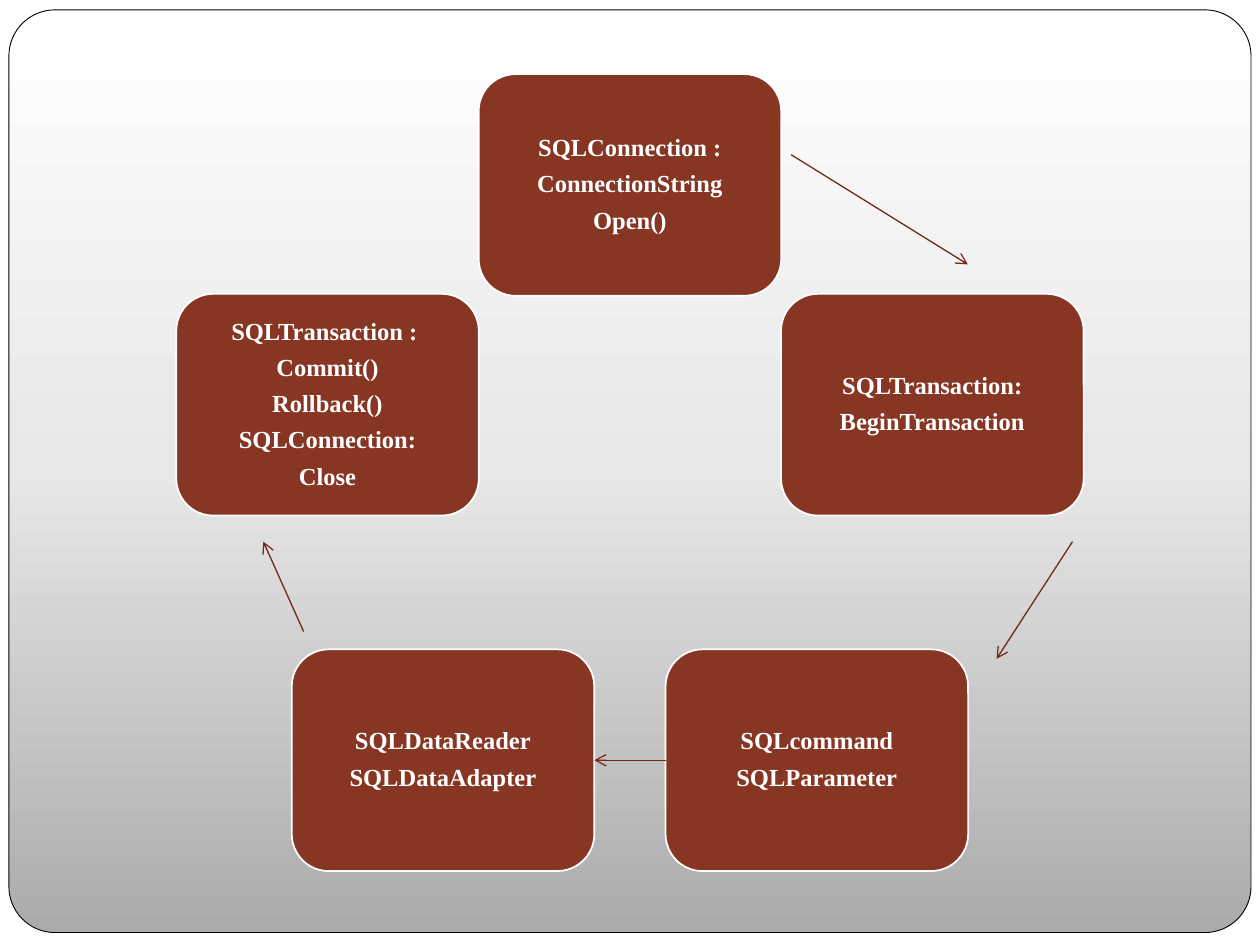
"""Build a slide showing the cycle of SQL data access objects."""
from copy import deepcopy
from dataclasses import dataclass
from math import cos, pi, sin

from pptx import Presentation
from pptx.dml.color import RGBColor
from pptx.enum.shapes import MSO_CONNECTOR as Connector, MSO_SHAPE as Preset
from pptx.enum.text import MSO_ANCHOR as Anchor, PP_ALIGN as Align
from pptx.oxml.ns import qn
from pptx.oxml.xmlchemy import OxmlElement
from pptx.shapes.autoshape import Shape
from pptx.shapes.connector import Connector as ConnectorShape
from pptx.slide import Slide
from pptx.util import Cm, Pt

CENTER_X, CENTER_Y, RADIUS = 12.7, 10.14, 6.41
STEP_WIDTH, STEP_HEIGHT = 6.1, 4.47
INSET = Cm(0.13)
GRADIENT = ((0, "ABABAB"), (0.5, "E7E7E7"), (1, "FFFFFF"))


@dataclass(frozen=True)
class Arrow:
    x1: float
    y1: float
    x2: float
    y2: float


STEPS = (
    "SQLConnection :\nConnectionString\nOpen()",
    "SQLTransaction:\nBeginTransaction",
    "SQLcommand\nSQLParameter",
    "SQLDataReader\nSQLDataAdapter",
    "SQLTransaction : \nCommit()\nRollback()\nSQLConnection:\nClose",
)
ARROWS = (
    Arrow(15.95, 3.12, 19.51, 5.33),
    Arrow(21.62, 10.92, 20.09, 13.28),
    Arrow(6.12, 12.73, 5.31, 10.92),
)


def color(value: str) -> RGBColor:
    return RGBColor.from_string(value)


def add_panel(slide: Slide) -> None:
    panel = slide.shapes.add_shape(
        Preset.ROUNDED_RECTANGLE, Cm(0.18), Cm(0.2), Cm(25.04), Cm(18.6)
    )
    panel.adjustments[0] = 0.05
    panel.shadow.inherit = False
    panel.line.color.rgb = color("000000")
    panel.line.width = Pt(0.5)
    panel.fill.gradient()
    panel.fill.gradient_angle = 90
    first_stop = panel._element.xpath(".//a:gs")[0]
    first_stop.addnext(deepcopy(first_stop))
    for stop, (position, shade) in zip(panel.fill.gradient_stops, GRADIENT):
        stop.position = position
        stop.color.rgb = color(shade)


def add_step(slide: Slide, index: int, label: str) -> Shape:
    angle = 2 * pi * index / len(STEPS)
    left = CENTER_X + RADIUS * sin(angle) - STEP_WIDTH / 2
    top = CENTER_Y - RADIUS * cos(angle) - STEP_HEIGHT / 2
    step = slide.shapes.add_shape(
        Preset.ROUNDED_RECTANGLE, Cm(left), Cm(top), Cm(STEP_WIDTH), Cm(STEP_HEIGHT)
    )
    step.shadow.inherit = False
    step.fill.solid()
    step.fill.fore_color.rgb = color("873624")
    step.line.color.rgb = color("FFFFFF")
    step.line.width = Pt(1)
    frame = step.text_frame
    frame.word_wrap = True
    frame.vertical_anchor = Anchor.MIDDLE
    frame.margin_left = frame.margin_right = INSET
    frame.margin_top = frame.margin_bottom = INSET
    frame.text = label
    for paragraph in frame.paragraphs:
        paragraph.alignment = Align.CENTER
        paragraph.line_spacing = 0.9
        paragraph.space_after = Pt(5.6)
        for run in paragraph.runs:
            run.font.name = "Times New Roman"
            run.font.size = Pt(14)
            run.font.bold = True
            run.font.color.rgb = color("FFFFFF")
    return step


def add_arrow(slide: Slide, arrow: Arrow) -> ConnectorShape:
    link = slide.shapes.add_connector(
        Connector.STRAIGHT, Cm(arrow.x1), Cm(arrow.y1), Cm(arrow.x2), Cm(arrow.y2)
    )
    link.line.color.rgb = color("702919")
    link.line.width = Pt(0.75)
    head = OxmlElement("a:tailEnd")
    head.set("type", "arrow")
    properties = link._element.spPr
    properties.find(qn("a:ln")).append(head)
    properties.append(OxmlElement("a:effectLst"))
    return link


def main() -> None:
    deck = Presentation()
    deck.slide_width, deck.slide_height = Cm(25.4), Cm(19.05)
    slide = deck.slides.add_slide(deck.slide_layouts[6])
    slide.background.fill.solid()
    slide.background.fill.fore_color.rgb = color("FFFFFF")
    add_panel(slide)
    steps = [add_step(slide, index, label) for index, label in enumerate(STEPS)]
    for arrow in ARROWS:
        add_arrow(slide, arrow)
    command, reader = steps[2:4]
    read_link = add_arrow(slide, Arrow(13.41, 15.32, 11.99, 15.32))
    read_link.begin_connect(command, 1)
    read_link.end_connect(reader, 3)
    deck.save("out.pptx")


if __name__ == "__main__":
    main()
